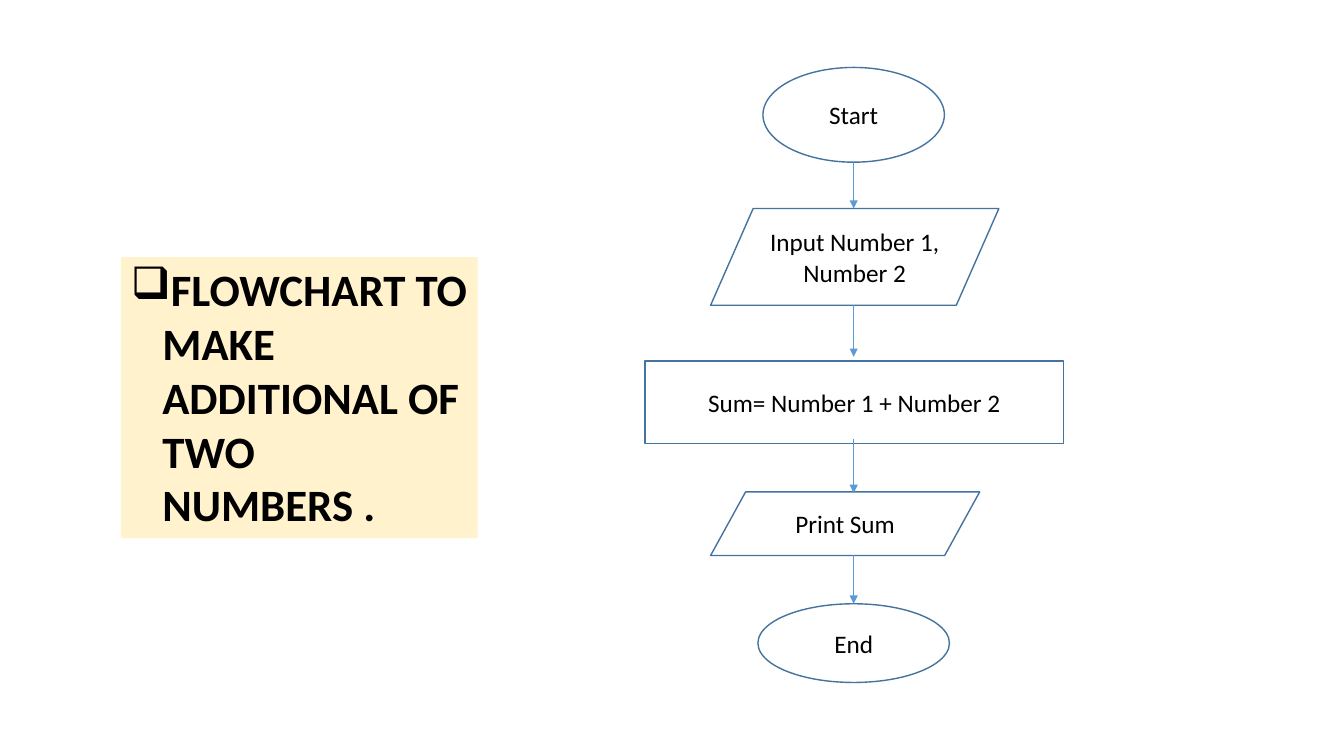
from lxml import etree
from pptx import Presentation
from pptx.dml.color import RGBColor
from pptx.enum import shapes, text
from pptx.oxml import ns
from pptx.util import Pt

FONT = "Calibri"
COLORS = {"ink": "000000", "box": "FFFFFF", "edge": "43739E",
          "arrow": "5B9BD5", "title": "FFF2CC"}
KINDS = shapes.MSO_SHAPE
MID = 609.8  # shared centre line of the flow

# kind, left, top, width, height, slant, label
STEPS = [
    (KINDS.OVAL, 545, 48.2, 129.6, 67.7, None, "Start"),
    (KINDS.PARALLELOGRAM, 507.6, 149, 205.9, 69.1, 0.44,
     "Input Number 1, Number 2"),
    (KINDS.RECTANGLE, 460.8, 257.8, 298.8, 59, None,
     "Sum= Number 1 + Number 2"),
    (KINDS.PARALLELOGRAM, 507.6, 351.4, 192.2, 45.4, 0.55, "Print Sum"),
    (KINDS.OVAL, 541.4, 431.3, 136.8, 56.2, None, "End"),
]
# top and bottom of each arrow
LINKS = [(115.9, 149), (218.2, 254.9), (313.9, 352.1), (396.7, 431.3)]


def color(name):
    """Return the named colour."""
    return RGBColor.from_string(COLORS[name])


def style(para, size, bold=False):
    """Set the font of a paragraph."""
    font = para.font
    font.name, font.size, font.bold = FONT, Pt(size), bold
    font.color.rgb = color("ink")


def step(slide, kind, left, top, width, height, slant, label):
    """Add one outlined flowchart step with a centred label."""
    box = slide.shapes.add_shape(
        kind, Pt(left), Pt(top), Pt(width), Pt(height))
    box.shadow.inherit = False
    if slant is not None:
        box.adjustments[0] = slant
    box.fill.solid()
    box.fill.fore_color.rgb = color("box")
    box.line.color.rgb = color("edge")
    box.line.width = Pt(1)
    frame = box.text_frame
    frame.word_wrap = True
    frame.vertical_anchor = text.MSO_ANCHOR.MIDDLE
    para = frame.paragraphs[0]
    para.text = label
    para.alignment = text.PP_ALIGN.CENTER
    style(para, 18)


def arrow(slide, top, end):
    """Add a downward arrow on the centre line."""
    link = slide.shapes.add_connector(
        shapes.MSO_CONNECTOR.STRAIGHT, Pt(MID), Pt(top), Pt(MID), Pt(end))
    link.line.color.rgb = color("arrow")
    link.line.width = Pt(0.5)
    props = link._element.spPr
    etree.SubElement(props.find(ns.qn("a:ln")), ns.qn("a:tailEnd"),
                     type="triangle")
    etree.SubElement(props, ns.qn("a:effectLst"))


def title(slide, label):
    """Add the filled title box with its bullet."""
    box = slide.shapes.add_textbox(Pt(86.4), Pt(183.6), Pt(254.9), Pt(200.9))
    box.fill.solid()
    box.fill.fore_color.rgb = color("title")
    frame = box.text_frame
    frame.word_wrap = True
    frame.auto_size = text.MSO_AUTO_SIZE.SHAPE_TO_FIT_TEXT
    para = frame.paragraphs[0]
    para.text = label
    style(para, 32, True)
    props = para._p.get_or_add_pPr()
    props.set("marL", str(Pt(22.5)))
    props.set("indent", str(-Pt(22.5)))
    props.insert(0, etree.Element(ns.qn("a:buChar"), char="❑"))


def main():
    """Build and save the slide."""
    deck = Presentation()
    deck.slide_width, deck.slide_height = Pt(960), Pt(540)
    slide = deck.slides.add_slide(deck.slide_layouts[6])
    for item in STEPS:
        step(slide, *item)
    for ends in LINKS:
        arrow(slide, *ends)
    title(slide, "FLOWCHART TO MAKE ADDITIONAL OF TWO NUMBERS .")
    deck.save("out.pptx")


main()
